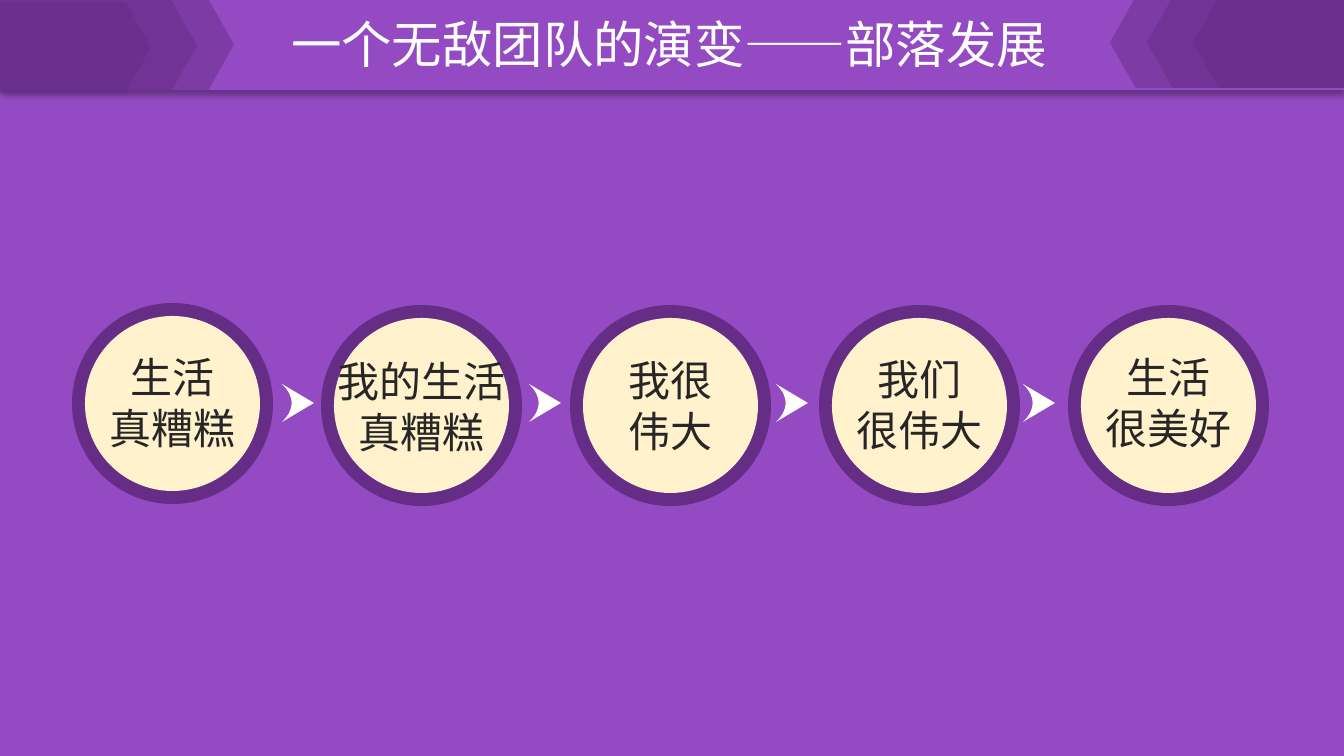
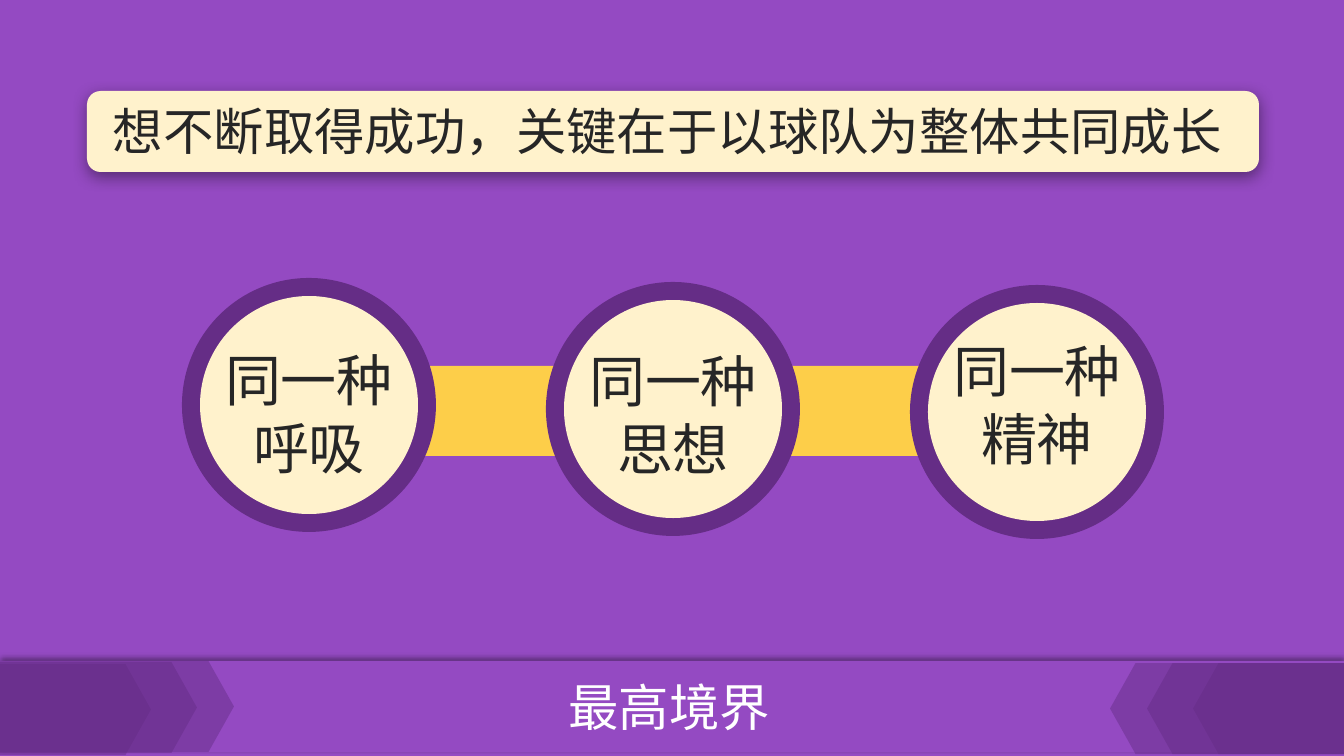
from dataclasses import dataclass

from lxml import etree
from pptx import Presentation
from pptx.dml.color import RGBColor
from pptx.enum.shapes import MSO_SHAPE
from pptx.enum.text import MSO_AUTO_SIZE, PP_ALIGN
from pptx.oxml.ns import qn
from pptx.util import Emu, Pt

CIRCLE = MSO_SHAPE.FLOWCHART_CONNECTOR
PENTAGON = MSO_SHAPE.PENTAGON
RECTANGLE = MSO_SHAPE.RECTANGLE
ROUNDED = MSO_SHAPE.ROUNDED_RECTANGLE
CENTER = PP_ALIGN.CENTER
LEFT = PP_ALIGN.LEFT
GROW = MSO_AUTO_SIZE.SHAPE_TO_FIT_TEXT

PX = 914400 / 100.8
SLIDE_WIDTH, SLIDE_HEIGHT = 1344, 756


@dataclass(frozen=True)
class Theme:
    background: str = "944AC2"
    dark: str = "652D86"
    cream: str = "FFF2CC"
    gold: str = "FDCE49"
    white: str = "FFFFFF"
    ink: str = "262626"
    font: str = "Noto Sans CJK SC"
    title_size: int = 36
    stage_size: int = 30
    unity_size: int = 40


THEME = Theme()

STAGES_TITLE = "一个无敌团队的演变——部落发展"
# lines, circle top, text top
STAGES = [
    (("生活", "真糟糕"), 303, 347),
    (("我的生活", "真糟糕"), 305, 351),
    (("我很", "伟大"), 305, 350),
    (("我们", "很伟大"), 305, 349),
    (("生活", "很美好"), 305, 347),
]
UNITY_TITLE = "最高境界"
UNITY_BANNER = "想不断取得成功，关键在于以球队为整体共同成长"
UNITIES = [
    (("同一种", "呼吸"), 278, 341),
    (("同一种", "思想"), 282, 342),
    (("同一种", "精神"), 285, 332),
]
# width, drop below the top of the band
CHEVRONS = [(151, 3), (197, 1), (234, 0)]


def px(value):
    return Emu(round(value * PX))


def paint(shape, color, alpha=None):
    shape.shadow.inherit = False
    shape.fill.solid()
    shape.fill.fore_color.rgb = RGBColor.from_string(color)
    shape.line.fill.background()
    if alpha is not None:
        color_element = shape._element.spPr.find(qn("a:solidFill"))[0]
        etree.SubElement(color_element, qn("a:alpha"), val=str(alpha * 1000))
    return shape


def add_shape(slide, kind, left, top, width, height, color, alpha=None):
    shape = slide.shapes.add_shape(kind, px(left), px(top), px(width), px(height))
    return paint(shape, color, alpha)


def cast_shadow(shape, alpha, blur, direction):
    effects = shape._element.spPr.find(qn("a:effectLst"))
    shadow = etree.SubElement(
        effects, qn("a:outerShdw"), blurRad=str(Pt(blur)), dist=str(Pt(3)),
        dir=str(direction * 60000), algn="ctr", rotWithShape="0")
    color = etree.SubElement(shadow, qn("a:srgbClr"), val="000000")
    etree.SubElement(color, qn("a:alpha"), val=str(alpha * 1000))


def add_text(slide, lines, left, top, width, height, *, size, color=THEME.ink,
             align=CENTER, wrap=True):
    box = slide.shapes.add_textbox(px(left), px(top), px(width), px(height))
    frame = box.text_frame
    frame.word_wrap = wrap
    frame.auto_size = GROW
    for index, line in enumerate(lines):
        paragraph = frame.add_paragraph() if index else frame.paragraphs[0]
        paragraph.alignment = align
        run = paragraph.add_run()
        run.text = line
        run.font.size = Pt(size)
        run.font.name = THEME.font
        run.font.color.rgb = RGBColor.from_string(color)
        etree.SubElement(run._r.get_or_add_rPr(), qn("a:ea"), typeface=THEME.font)


def add_chevrons(slide, band_top, height, *, right_drop=None):
    """Nested chevrons at the left end, or at the right end if right_drop is given."""
    for width, drop in CHEVRONS:
        at_left = right_drop is None
        left = 0 if at_left else SLIDE_WIDTH - width
        top = band_top + (drop if at_left else right_drop)
        chevron = add_shape(slide, PENTAGON, left, top, width, height,
                            THEME.dark, alpha=47)
        chevron.adjustments[0] = 0.28
        chevron.rotation = 0 if at_left else 180


def add_band(slide, title, top, *, title_top, right_drop, shadow_alpha,
             shadow_direction):
    height = 91
    band = add_shape(slide, RECTANGLE, 0, top, SLIDE_WIDTH, height, THEME.background)
    cast_shadow(band, shadow_alpha, 4, shadow_direction)
    add_chevrons(slide, top, height)
    add_text(slide, [title], -3, title_top, SLIDE_WIDTH, 72,
             size=THEME.title_size, color=THEME.white)
    add_chevrons(slide, top, height, right_drop=right_drop)


def add_ringed_circles(slide, items, *, left, pitch, diameter, ring, text_width,
                       text_height, size, wrap):
    inner = diameter - 2 * ring
    for index, (lines, top, text_top) in enumerate(items):
        x = left + index * pitch
        add_shape(slide, CIRCLE, x, top, diameter, diameter, THEME.dark)
        add_shape(slide, CIRCLE, x + ring, top + ring, inner, inner, THEME.cream)
        add_text(slide, lines, x + (diameter - text_width) / 2, text_top,
                 text_width, text_height, size=size, wrap=wrap)


def add_arrowhead(slide, left, middle):
    """Arrowhead pointing right, with a curved notch in its back."""
    length, half, bulge = 32, 19, 13
    builder = slide.shapes.build_freeform(px(left + length), px(middle))
    builder.add_line_segments([(px(left), px(middle + half)),
                               (px(left), px(middle - half))])
    arrowhead = paint(builder.convert_to_shape(), THEME.white)
    back = arrowhead._element.findall(".//" + qn("a:lnTo"))[1]
    curve = etree.Element(qn("a:cubicBezTo"))
    for x, y in [(bulge, half * 4 / 3), (bulge, half * 2 / 3), (0, 0)]:
        etree.SubElement(curve, qn("a:pt"), x=str(px(x)), y=str(px(y)))
    back.getparent().replace(back, curve)


def add_slide(presentation):
    slide = presentation.slides.add_slide(presentation.slide_layouts[6])
    slide.background.fill.solid()
    slide.background.fill.fore_color.rgb = RGBColor.from_string(THEME.background)
    return slide


def build_stages(presentation):
    slide = add_slide(presentation)
    add_ringed_circles(slide, STAGES, left=72, pitch=249, diameter=201, ring=13,
                       text_width=193, text_height=112, size=THEME.stage_size,
                       wrap=True)
    for index in range(len(STAGES) - 1):
        add_arrowhead(slide, 282 + index * 247, 403)
    add_band(slide, STAGES_TITLE, -1, title_top=8, right_drop=-2,
             shadow_alpha=31, shadow_direction=90)


def build_unity(presentation):
    slide = add_slide(presentation)
    banner = add_shape(slide, ROUNDED, 87, 91, 1172, 81, THEME.cream)
    cast_shadow(banner, 40, 11, 90)
    add_text(slide, [UNITY_BANNER], 103, 95, 1140, 72, size=THEME.title_size,
             align=LEFT, wrap=False)
    add_shape(slide, RECTANGLE, 387, 366, 650, 90, THEME.gold)
    add_ringed_circles(slide, UNITIES, left=182, pitch=364, diameter=254, ring=18,
                       text_width=190, text_height=146, size=THEME.unity_size,
                       wrap=False)
    add_band(slide, UNITY_TITLE, 661, title_top=671, right_drop=2,
             shadow_alpha=40, shadow_direction=270)


def main():
    presentation = Presentation()
    presentation.slide_width = px(SLIDE_WIDTH)
    presentation.slide_height = px(SLIDE_HEIGHT)
    build_stages(presentation)
    build_unity(presentation)
    presentation.save("out.pptx")


if __name__ == "__main__":
    main()
